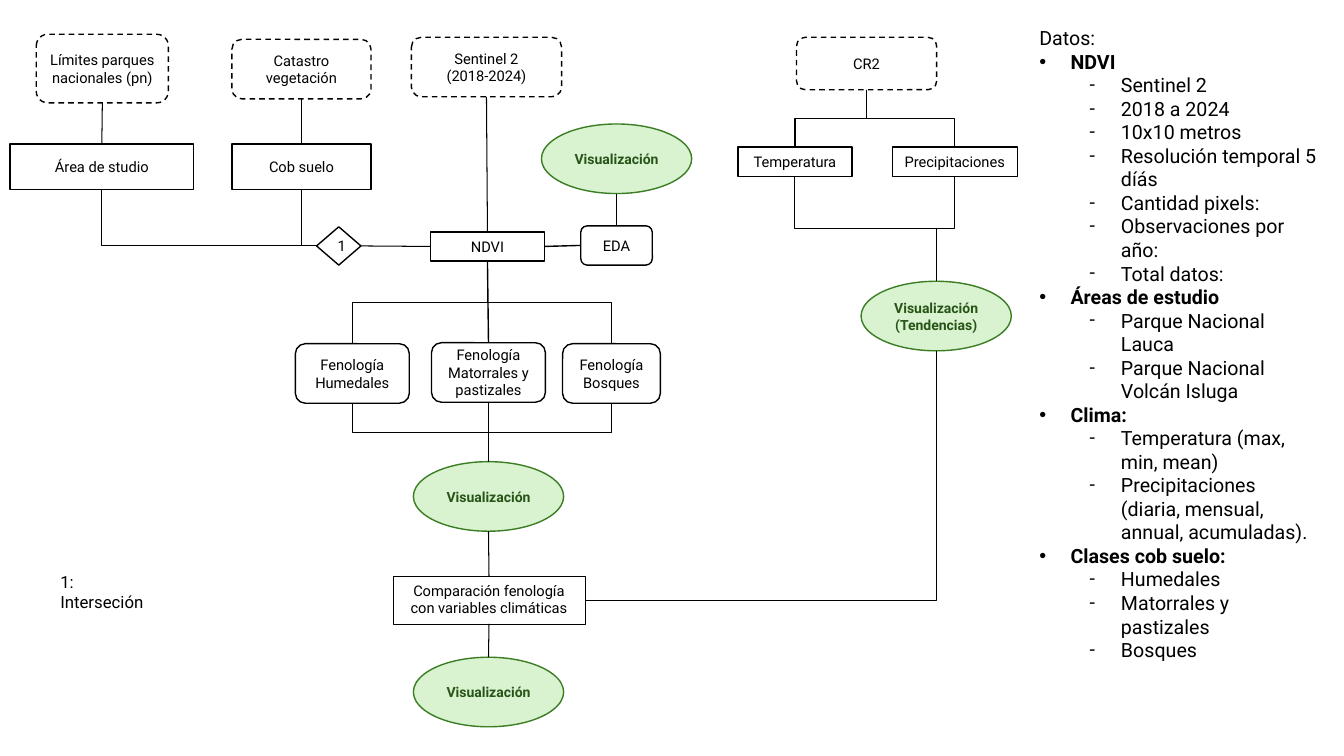
from lxml.etree import SubElement as Sub
from pptx import Presentation
from pptx.dml.color import RGBColor as Rgb
from pptx.enum.dml import MSO_LINE as Dash
from pptx.enum.shapes import MSO_CONNECTOR as Link, MSO_SHAPE as Kind
from pptx.enum.text import MSO_ANCHOR as Anchor, MSO_AUTO_SIZE as Auto, PP_ALIGN as Align
from pptx.oxml.ns import qn
from pptx.util import Inches, Pt

TOP, LEFT, BASE, RIGHT = range(4)


def paint(code):
    return Rgb.from_string(code)


def apply(target, values):
    for name, value in values.items():
        setattr(target, name, value)


class Chart:
    ink = "000000"
    face = "Roboto"

    def __init__(self, slide):
        self.slide = slide

    def label(self, para, text, size, tint=ink, bold=False):
        run = para.add_run()
        run.text = text
        apply(run.font, {"name": self.face, "size": Pt(size), "bold": bold})
        run.font.color.rgb = paint(tint)

    def node(self, kind, area, text, fill="FFFFFF", edge=ink, tint=ink,
             size=10.5, bold=False, width=1, dash=None, anchor=Anchor.MIDDLE):
        node = self.slide.shapes.add_shape(kind, *map(Inches, area))
        node.shadow.inherit = False
        if fill:
            node.fill.solid()
            node.fill.fore_color.rgb = paint(fill)
        else:
            node.fill.background()
        node.line.color.rgb = paint(edge)
        apply(node.line, {"width": Pt(width), "dash_style": dash})
        frame = node.text_frame
        apply(frame, {"word_wrap": True, "vertical_anchor": anchor})
        for i, line in enumerate(text.split("\n")):
            para = frame.add_paragraph() if i else frame.paragraphs[0]
            para.alignment = Align.CENTER
            self.label(para, line, size, tint, bold)
        return node

    def box(self, area, text, **style):
        return self.node(Kind.RECTANGLE, area, text, **style)

    def round(self, area, text, **style):
        return self.node(Kind.ROUNDED_RECTANGLE, area, text, **style)

    def source(self, area, text):
        return self.round(area, text, dash=Dash.DASH)

    def view(self, left, top, text="Visualización"):
        return self.node(Kind.OVAL, (left, top, 1.49, 0.69), text, fill="D9F2D0",
                         edge="3B7D23", tint="275417", size=10, bold=True)

    def note(self, area, text, size):
        frame = self.slide.shapes.add_textbox(*map(Inches, area)).text_frame
        apply(frame, {"word_wrap": True, "auto_size": Auto.SHAPE_TO_FIT_TEXT})
        self.label(frame.paragraphs[0], text, size)
        return frame

    def bullet(self, frame, text, size, level):
        para = frame.add_paragraph()
        para.level = level
        props = para._p.get_or_add_pPr()
        props.set("marL", str(Inches(0.81 if level else 0.31)))
        props.set("indent", str(Inches(-0.31)))
        Sub(props, qn("a:buFont")).set("typeface", self.face if level else "Arial")
        Sub(props, qn("a:buChar")).set("char", "-" if level else "•")
        self.label(para, text, size, bold=not level)

    def join(self, start, out, end, into, width=0.75, bend=None):
        kind = Link.ELBOW if bend else Link.STRAIGHT
        line = self.slide.shapes.add_connector(kind, 0, 0, 0, 0)
        line.begin_connect(start, out)
        line.end_connect(end, into)
        for tag, shape, side in (("a:stCxn", start, out), ("a:endCxn", end, into)):
            if shape.auto_shape_type == Kind.OVAL:
                next(line.element.iter(qn(tag))).set("idx", str(side * 2))
        line.line.color.rgb = paint(self.ink)
        line.line.width = Pt(width)
        if bend:
            self.turn(line, bend)
        Sub(line.element.spPr, qn("a:effectLst"))

    def turn(self, line, bend):
        x1, y1, x2, y2 = line.begin_x, line.begin_y, line.end_x, line.end_y
        wide, high = abs(y2 - y1), abs(x2 - x1)
        apply(line, {"left": (x1 + x2 - wide) // 2, "top": (y1 + y2 - high) // 2,
                     "width": wide, "height": high})
        frame = line.element.spPr.find(qn("a:xfrm"))
        for name in ("flipH", "flipV"):
            frame.attrib.pop(name, None)
        frame.set("rot", str((90 if x2 < x1 else 270) * 60000))
        if x2 >= x1:
            frame.set("flipH", "1")
        line.element.spPr.find(qn("a:prstGeom")).set("prst", f"bentConnector{bend}")


def main():
    deck = Presentation()
    apply(deck, {"slide_width": Inches(13.33), "slide_height": Inches(7.5)})
    flow = Chart(deck.slides.add_slide(deck.slide_layouts[6]))

    parks = flow.source((0.36, 0.34, 1.31, 0.68), "Límites parques nacionales (pn)")
    plants = flow.source((2.3, 0.39, 1.38, 0.59), "Catastro vegetación")
    scene = flow.source((4.08, 0.37, 1.49, 0.59), "Sentinel 2\n(2018-2024)")
    climate = flow.source((7.9, 0.37, 1.39, 0.52), "CR2")
    zone = flow.box((0.1, 1.43, 1.82, 0.45), "Área de studio")
    cover = flow.box((2.3, 1.43, 1.38, 0.45), "Cob suelo")
    heat = flow.box((7.32, 1.46, 1.13, 0.29), "Temperatura")
    rain = flow.box((8.85, 1.46, 1.24, 0.29), "Precipitaciones")
    ndvi = flow.box((4.27, 2.3, 1.13, 0.29), "NDVI")
    cross = flow.node(Kind.DIAMOND, (3.14, 2.25, 0.44, 0.38), "1")
    eda = flow.round((5.76, 2.24, 0.71, 0.39), "EDA")
    marsh = flow.round((2.93, 3.41, 1.13, 0.59), "Fenología Humedales")
    scrub = flow.round((4.28, 3.4, 1.13, 0.59), "Fenología\nMatorrales y pastizales")
    woods = flow.round((5.58, 3.41, 0.97, 0.59), "Fenología\nBosques")
    match = flow.box((3.9, 5.72, 1.9, 0.47), "Comparación fenología con variables climáticas",
                     fill=None, width=0.25, anchor=Anchor.TOP)
    first = flow.view(5.37, 1.23)
    trend = flow.view(8.54, 2.79, "Visualización\n(Tendencias)")
    phase = flow.view(4.1, 4.58)
    final = flow.view(4.1, 6.52)

    for start, out, end, into, width in (
        (parks, BASE, zone, TOP, 0.75),
        (plants, BASE, cover, TOP, 0.75),
        (scene, BASE, ndvi, TOP, 0.75),
        (cross, RIGHT, ndvi, LEFT, 0.75),
        (match, TOP, phase, BASE, 0.75),
        (match, BASE, final, TOP, 0.75),
        (ndvi, RIGHT, eda, LEFT, 1),
        (eda, TOP, first, BASE, 1),
        (ndvi, BASE, scrub, TOP, 1),
        (scrub, BASE, phase, TOP, 1),
    ):
        flow.join(start, out, end, into, width)

    for start, end, into, bend, width in (
        (zone, cross, LEFT, 2, 0.75),
        (cover, cross, LEFT, 2, 0.75),
        (trend, match, RIGHT, 2, 0.75),
        (climate, heat, TOP, 3, 0.75),
        (climate, rain, TOP, 3, 0.75),
        (heat, trend, TOP, 3, 0.75),
        (rain, trend, TOP, 3, 0.75),
        (ndvi, marsh, TOP, 3, 0.75),
        (marsh, phase, TOP, 3, 0.75),
        (ndvi, woods, TOP, 3, 1),
        (woods, phase, TOP, 3, 1),
    ):
        flow.join(start, BASE, end, into, width, bend)

    flow.note((0.5, 5.62, 1.1, 0.3), "1: Interseción", 12)

    size = 14
    frame = flow.note((10.21, 0.21, 2.97, 6.23), "Datos:", size)
    facts = {
        "NDVI": ("Sentinel 2", "2018 a 2024", "10x10 metros", "Resolución temporal 5 díás",
                 "Cantidad pixels:", "Observaciones por año:", "Total datos:"),
        "Áreas de estudio": ("Parque Nacional Lauca", "Parque Nacional Volcán Isluga"),
        "Clima:": ("Temperatura (max, min, mean)",
                   "Precipitaciones (diaria, mensual, annual, acumuladas)."),
        "Clases cob suelo:": ("Humedales", "Matorrales y pastizales", "Bosques"),
    }
    for head, items in facts.items():
        flow.bullet(frame, head, size, 0)
        for item in items:
            flow.bullet(frame, item, size, 1)

    deck.save("out.pptx")


if __name__ == "__main__":
    main()
